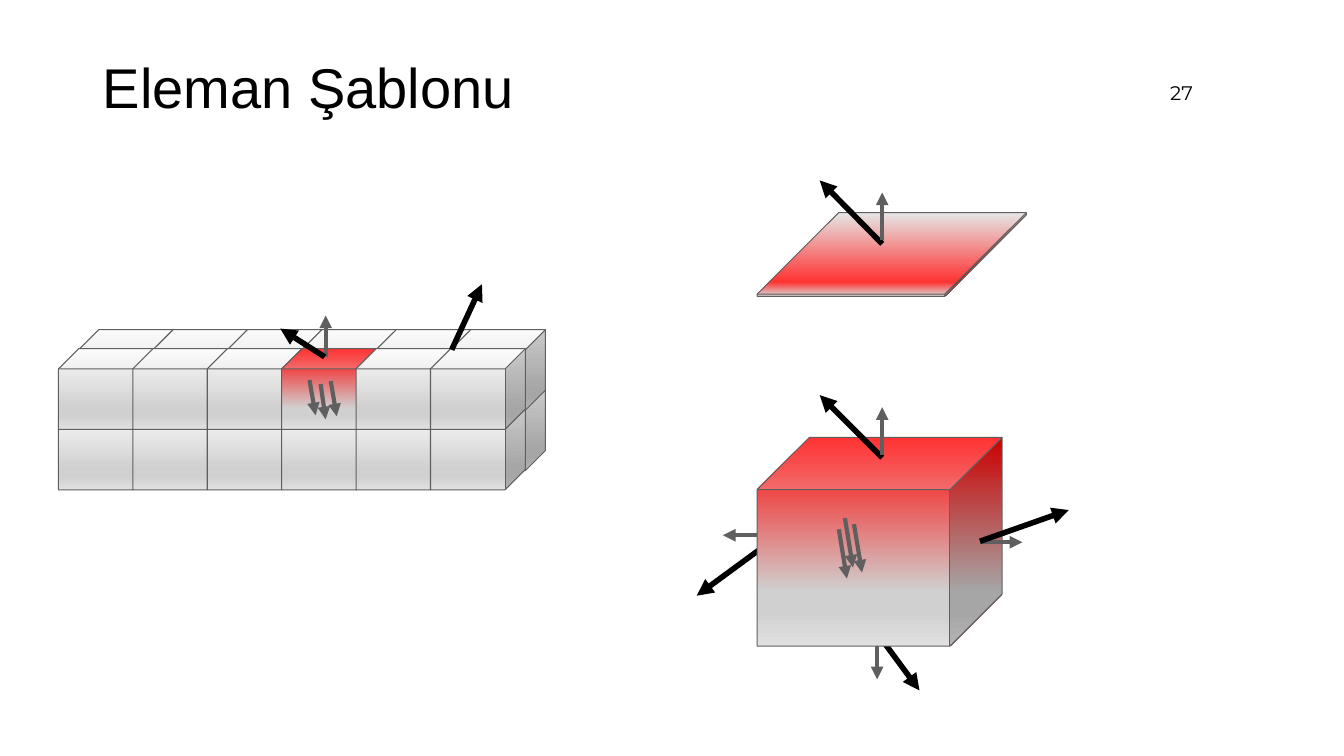
from lxml.etree import SubElement
from pptx import Presentation
from pptx.dml.color import RGBColor
from pptx.enum.shapes import MSO_CONNECTOR, MSO_SHAPE
from pptx.enum.text import MSO_ANCHOR, MSO_AUTO_SIZE, PP_ALIGN
from pptx.oxml.ns import qn
from pptx.util import Inches, Pt

HUES = {"ink": "000000", "edge": "5F5F5F", "red": "FF0000",
        "pale": "FAFAFA", "mid": "D0D0D0", "light": "E0E0E0"}
BODY = [(74, "mid"), (83, "mid"), (100, "light")]
GREY = [(0, "pale")] + BODY
WARM = [(0, "red")] + BODY
FLAT = [(0, "light"), (83, "red"), (100, "mid")]
THIN, BOLD = ("edge", 3), ("ink", 4)


def cell(count):
    """Turn a count of grid cells, a tenth of an inch each, into a length."""
    return Inches(count / 10)


def hue(name):
    """Look up a colour."""
    return RGBColor.from_string(HUES[name])


def cube(slide, box, stops, depth=0.25):
    """Draw a cube shaded from top to bottom."""
    shape = slide.shapes.add_shape(MSO_SHAPE.CUBE, *map(cell, box))
    shape.adjustments[0] = depth
    shape.shadow.inherit = False
    shape.fill.gradient()
    shape.fill.gradient_angle = 270
    ramp = shape._element.spPr.find(".//" + qn("a:gsLst"))
    for old in list(ramp):
        ramp.remove(old)
    for pos, name in stops:
        stop = SubElement(ramp, qn("a:gs"), pos=str(pos * 1000))
        SubElement(stop, qn("a:srgbClr"), val=HUES[name])
    shape.line.color.rgb = hue("edge")
    shape.line.width = Pt(0.75)


def arrows(slide, box, style, *moves):
    """Draw arrows, each given by its start within the box and its run."""
    name, size = style
    for x, y, dx, dy in moves:
        x, y = box[0] + x, box[1] + y
        ends = map(cell, (x, y, x + dx, y + dy))
        line = slide.shapes.add_connector(MSO_CONNECTOR.STRAIGHT, *ends)
        line.line.color.rgb = hue(name)
        line.line.width = Pt(size)
        props = line._element.spPr
        SubElement(props.find(qn("a:ln")), qn("a:tailEnd"), type="triangle")
        SubElement(props, qn("a:effectLst"))


def write(frame, text, font, size, align):
    """Put one run of text in a frame."""
    para = frame.paragraphs[0]
    para.alignment = align
    run = para.add_run()
    run.text = text
    run.font.name = font
    run.font.size = Pt(size)
    run.font.color.rgb = hue("ink")


def head(slide, box, number):
    """Place the title and the page number."""
    title = slide.shapes.title
    title.left, title.top, title.width, title.height = map(cell, box)
    frame = title.text_frame
    frame.auto_size = MSO_AUTO_SIZE.NONE
    frame.vertical_anchor = MSO_ANCHOR.MIDDLE
    write(frame, "Eleman Şablonu", "Arial", 40, PP_ALIGN.LEFT)
    page = slide.shapes.add_textbox(*map(cell, number))
    page.text_frame.word_wrap = True
    write(page.text_frame, "27", "Montserrat", 14, PP_ALIGN.RIGHT)


def solid(slide, box):
    """Draw the large cube with arrows leaving its faces."""
    arrows(slide, box, THIN, (1.9, 9.7, -5.3, 0), (11.9, 20.1, 0, 3.9))
    arrows(slide, box, BOLD, (11.3, 18.6, 4.8, 6.5), (1.9, 9.9, -7.9, 5.8))
    cube(slide, box, WARM)
    arrows(slide, box, BOLD, (12.4, 2, -6.2, -6.2))
    arrows(slide, box, THIN, (8.1, 9.1, 0.8, 4.9), (8.7, 8, 0.8, 4.9),
           (9.6, 8.6, 0.8, 4.8), (12.4, 1.7, 0, -4.7), (22.1, 10.4, 4.2, 0))
    arrows(slide, box, BOLD, (22.1, 10.3, 8.8, -3.1))


def sheet(slide, box):
    """Draw the flat plate with its two arrows."""
    cube(slide, box, FLAT, 0.974)
    arrows(slide, box, BOLD, (12.4, 3.1, -6.2, -6.3))
    arrows(slide, box, THIN, (12.4, 2.7, 0, -4.7))


def block(slide, box):
    """Stack two layers of cubes, one of them warm, and add arrows."""
    left, top, wide, high = box
    for layer in (1, 0):
        for row in (1, 0):
            for col in range(6):
                spot = (left + 7.38 * col + 2 * layer,
                        top + 6 * row - 1.9 * layer, wide, high)
                warm = (layer, row, col) == (0, 0, 3)
                cube(slide, spot, WARM if warm else GREY)
    arrows(slide, box, BOLD, (39, 0.1, 3, -6.5))
    arrows(slide, box, THIN, (26.5, 0.8, 0, -4.1))
    arrows(slide, box, BOLD, (26.4, 0.8, -4.4, -2.8))
    arrows(slide, box, THIN, (26, 3.5, 0.5, 3.5), (27, 3.2, 0.6, 3.5),
           (24.9, 3.1, 0.6, 3.5))


def main():
    """Build the slide and save it."""
    deck = Presentation()
    deck.slide_width, deck.slide_height = Inches(13.33), Inches(7.5)
    slide = deck.slides.add_slide(deck.slide_layouts[5])
    head(slide, (9.2, 4, 98.9, 9.1), (113.6, 7.5, 5.7, 3.8))
    solid(slide, (75.1, 43.4, 24.3, 20.7))
    sheet(slide, (75.1, 21.1, 26.7, 8.3))
    block(slide, (5.8, 34.6, 9.4, 8))
    deck.save("out.pptx")


if __name__ == "__main__":
    main()
